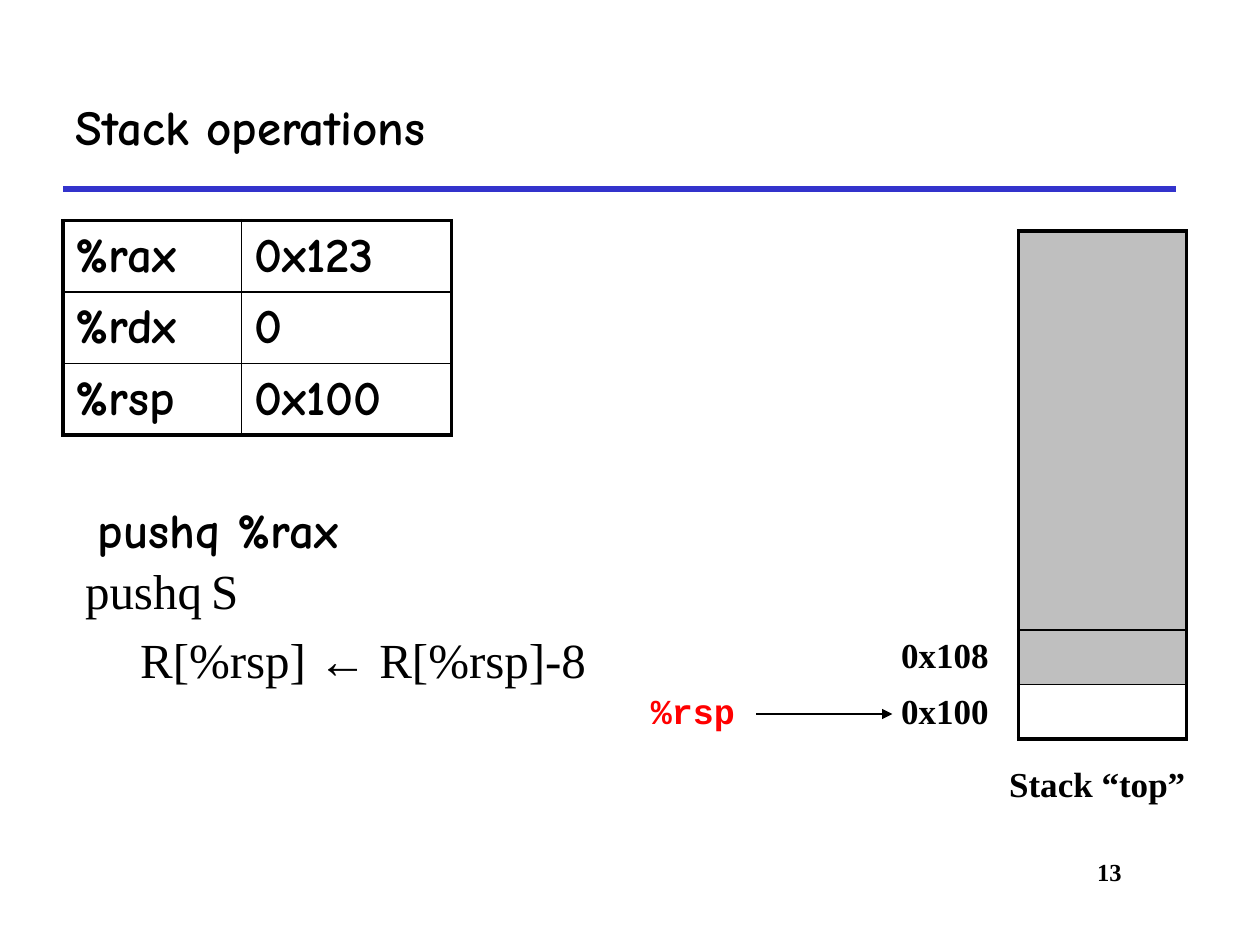
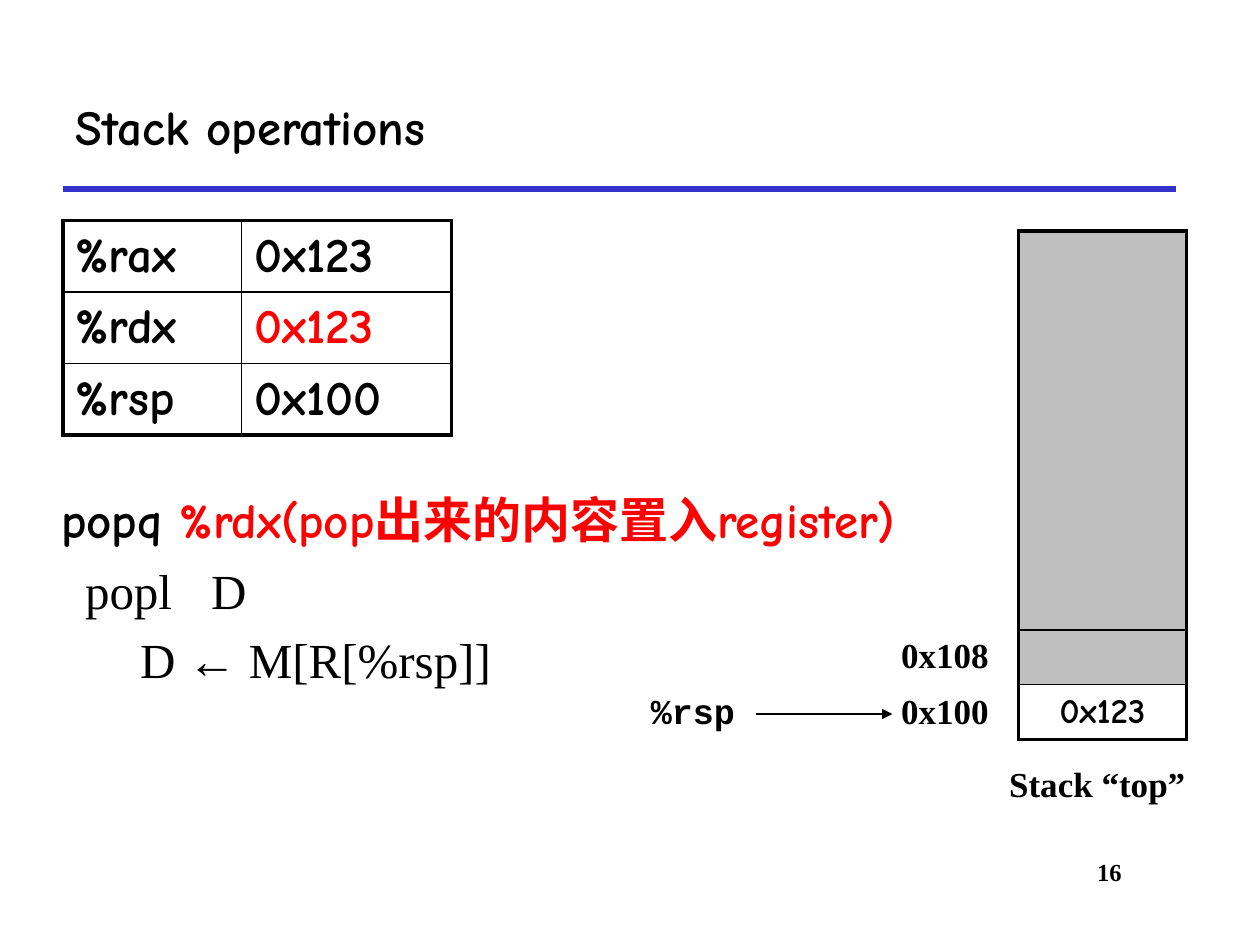
from dataclasses import dataclass, field

from lxml import etree
from pptx import Presentation
from pptx.dml.color import RGBColor
from pptx.enum.shapes import MSO_CONNECTOR, MSO_SHAPE
from pptx.enum.text import MSO_ANCHOR, MSO_AUTO_SIZE, PP_ALIGN
from pptx.oxml.ns import qn
from pptx.util import Emu, Inches, Pt

LEFT, CENTER, RIGHT = PP_ALIGN.LEFT, PP_ALIGN.CENTER, PP_ALIGN.RIGHT
TOP, MIDDLE = MSO_ANCHOR.TOP, MSO_ANCHOR.MIDDLE
STRAIGHT, RECTANGLE = MSO_CONNECTOR.STRAIGHT, MSO_SHAPE.RECTANGLE
NO_AUTOFIT = MSO_AUTO_SIZE.NONE

# The slide is a grid of 120 columns by 90 rows, each cell 1/12 inch square.
COLUMNS, ROWS = 120, 90
CELL = Inches(10) / COLUMNS


@dataclass(frozen=True)
class Theme:
    ink: RGBColor = RGBColor(0, 0, 0)
    accent: RGBColor = RGBColor(0xFF, 0, 0)
    rule: RGBColor = RGBColor(0x33, 0x33, 0xCC)
    paper: RGBColor = RGBColor(0xFF, 0xFF, 0xFF)
    used: RGBColor = RGBColor(0xBF, 0xBF, 0xBF)
    thin: float = 0.75
    inner: float = 1
    outer: float = 2.25
    heavy: float = 3
    line_gap: float = 5.6
    heading: dict = field(default_factory=lambda: {
        "name": "Comic Neue", "size": Pt(28), "bold": True})
    cell_note: dict = field(default_factory=lambda: {
        "name": "Comic Neue", "size": Pt(20), "bold": True})
    body: dict = field(default_factory=lambda: {
        "name": "Times New Roman", "size": Pt(28), "bold": False})
    label: dict = field(default_factory=lambda: {
        "name": "Times New Roman", "size": Pt(20), "bold": True})
    register: dict = field(default_factory=lambda: {
        "name": "Courier New", "size": Pt(20), "bold": True})
    number: dict = field(default_factory=lambda: {
        "name": "Times New Roman", "size": Pt(14), "bold": True})


THEME = Theme()


@dataclass(frozen=True)
class Box:
    """A place on the grid, in columns and rows."""
    left: float
    top: float
    width: float
    height: float

    def emu(self) -> list[Emu]:
        return [grid(v) for v in (self.left, self.top, self.width, self.height)]


@dataclass(frozen=True)
class Span:
    text: str
    color: RGBColor = THEME.ink


@dataclass(frozen=True)
class Label:
    text: str
    box: Box


@dataclass(frozen=True)
class StackStep:
    """One stage of the stack example."""
    number: str
    rdx: Span
    instruction: list[Span]
    instruction_box: Box
    rule_lines: list[str]
    pointer: Span
    top_value: str = ""


TITLE_BOX = Box(6, 6, 106, 12)
BODY_BOX = Box(6.9, 52.8, 55, 28)
NUMBER_BOX = Box(91, 81, 17, 6)
REGISTER_BOX = Box(6, 21, 37, 20.4)
STACK_BOX = Box(97, 22, 16, 48.4)
POINTER_BOX = Box(60, 65, 12, 5.25)
OPERAND_TAB, EFFECT_INDENT = 16.6, 5.25

LABELS = [
    Label("0x100", Box(84, 65, 12, 5.25)),
    Label("Stack “top”", Box(94, 72, 21, 5.25)),
    Label("0x108", Box(84, 59.75, 12, 5.25)),
]

STEPS = [
    StackStep("13", Span("0"), [Span("pushq %rax")], Box(6.5, 47, 28.5, 6.8),
              ["pushq\tS", "R[%rsp] ← R[%rsp]-8"],
              Span("%rsp", THEME.accent)),
    StackStep("16", Span("0x123", THEME.accent),
              [Span("popq "),
               Span("%rdx(pop出来的内容置入register)", THEME.accent)],
              Box(0.8, 46, 89.5, 6.8),
              ["popl\tD", "D ← M[R[%rsp]]"], Span("%rsp"), "0x123"),
]


def grid(cells: float) -> Emu:
    return Emu(round(cells * CELL))


def write(paragraph, spans: list[Span], style: dict, align=LEFT) -> None:
    paragraph.alignment = align
    for span in spans:
        run = paragraph.add_run()
        run.text = span.text
        for key, value in style.items():
            setattr(run.font, key, value)
        run.font.color.rgb = span.color


def add_text(slide, box: Box, spans: list[Span], style: dict, align=CENTER,
             anchor=MIDDLE, wrap: bool = True) -> None:
    frame = slide.shapes.add_textbox(*box.emu()).text_frame
    frame.word_wrap, frame.vertical_anchor = wrap, anchor
    write(frame.paragraphs[0], spans, style, align)


def add_label(slide, label: Label) -> None:
    shape = slide.shapes.add_shape(RECTANGLE, *label.box.emu())
    shape.shadow.inherit = False
    shape.fill.background()
    shape.line.color.rgb = THEME.paper
    shape.line.width = Pt(THEME.thin)
    write(shape.text_frame.paragraphs[0], [Span(label.text)], THEME.label, CENTER)


def add_line(slide, start: tuple, end: tuple, color: RGBColor, width: float,
             arrow: bool = False) -> None:
    line = slide.shapes.add_connector(
        STRAIGHT, *(grid(v) for v in (*start, *end)))
    line.line.color.rgb = color
    line.line.width = Pt(width)
    if arrow:
        etree.SubElement(line.line._get_or_add_ln(), qn("a:tailEnd"), type="triangle")
    etree.SubElement(line._element.spPr, qn("a:effectLst"))


def set_borders(cell, widths: dict[str, float]) -> None:
    properties = cell._tc.get_or_add_tcPr()
    for position, (side, width) in enumerate(widths.items()):
        border = etree.Element(qn(f"a:ln{side}"), w=str(Pt(width)))
        fill = etree.SubElement(border, qn("a:solidFill"))
        etree.SubElement(fill, qn("a:srgbClr"), val=str(THEME.ink))
        properties.insert(position, border)


def add_framed_table(slide, box: Box, widths: list[float], heights: list[float],
                     rows: list[list[Span]], style: dict, fills: list[RGBColor],
                     align=LEFT) -> None:
    """Draw a table with a heavy frame and thin inner lines, one fill per row."""
    table = slide.shapes.add_table(len(heights), len(widths), *box.emu()).table
    table.first_row = table.horz_banding = False
    for column, width in zip(table.columns, widths):
        column.width = grid(width)
    last_row, last_column = len(heights) - 1, len(widths) - 1
    for r, (height, spans) in enumerate(zip(heights, rows)):
        table.rows[r].height = grid(height)
        for c, span in enumerate(spans):
            cell = table.cell(r, c)
            cell.vertical_anchor = MIDDLE
            cell.fill.solid()
            cell.fill.fore_color.rgb = fills[r]
            if span.text:
                write(cell.text_frame.paragraphs[0], [span], style, align)
            edges = {"L": c == 0, "R": c == last_column,
                     "T": r == 0, "B": r == last_row}
            set_borders(cell, {side: THEME.outer if edge else THEME.inner
                               for side, edge in edges.items()})


def place(placeholder, box: Box, anchor):
    """Move a placeholder and return its text frame."""
    for key, value in zip(("left", "top", "width", "height"), box.emu()):
        setattr(placeholder, key, value)
    frame = placeholder.text_frame
    frame.auto_size, frame.vertical_anchor = NO_AUTOFIT, anchor
    return frame


def fill_body(placeholder, lines: list[str]) -> None:
    """Write the instruction and, indented below it, its effect."""
    frame = place(placeholder, BODY_BOX, TOP)
    for level, line in enumerate(lines):
        paragraph = frame.add_paragraph() if level else frame.paragraphs[0]
        paragraph.level = level
        paragraph.space_before = Pt(THEME.line_gap * level)
        properties = paragraph._p.get_or_add_pPr()
        properties.set("marL", str(grid(EFFECT_INDENT * level)))
        properties.set("indent", "0")
        etree.SubElement(properties, qn("a:buNone"))
        tabs = etree.SubElement(properties, qn("a:tabLst"))
        etree.SubElement(tabs, qn("a:tab"), pos=str(grid(OPERAND_TAB)), algn="l")
        write(paragraph, [Span(line)], THEME.body)


def add_step(deck, step: StackStep) -> None:
    slide = deck.slides.add_slide(deck.slide_layouts[1])
    title, body = slide.placeholders
    write(place(title, TITLE_BOX, MIDDLE).paragraphs[0],
          [Span("Stack operations")], THEME.heading)
    fill_body(body, step.rule_lines)
    add_line(slide, (6, 18), (112, 18), THEME.rule, THEME.heavy)
    add_text(slide, NUMBER_BOX, [Span(step.number)], THEME.number, RIGHT, TOP)

    registers = [[Span("%rax"), Span("0x123")],
                 [Span("%rdx"), step.rdx],
                 [Span("%rsp"), Span("0x100")]]
    add_framed_table(slide, REGISTER_BOX, [17, 20], [6.8] * 3, registers,
                     THEME.heading, [THEME.paper] * 3)
    add_text(slide, step.instruction_box, step.instruction, THEME.heading, wrap=False)

    stack = [[Span("")], [Span("")], [Span(step.top_value)]]
    add_framed_table(slide, STACK_BOX, [16], [38, 5.2, 5.2], stack, THEME.cell_note,
                     [THEME.used, THEME.used, THEME.paper], CENTER)
    for label in LABELS:
        add_label(slide, label)
    add_text(slide, POINTER_BOX, [step.pointer], THEME.register)
    add_line(slide, (72, 68), (85, 68), THEME.ink, THEME.thin, arrow=True)


def main() -> None:
    deck = Presentation()
    deck.slide_width, deck.slide_height = grid(COLUMNS), grid(ROWS)
    for step in STEPS:
        add_step(deck, step)
    deck.save("out.pptx")


if __name__ == "__main__":
    main()
